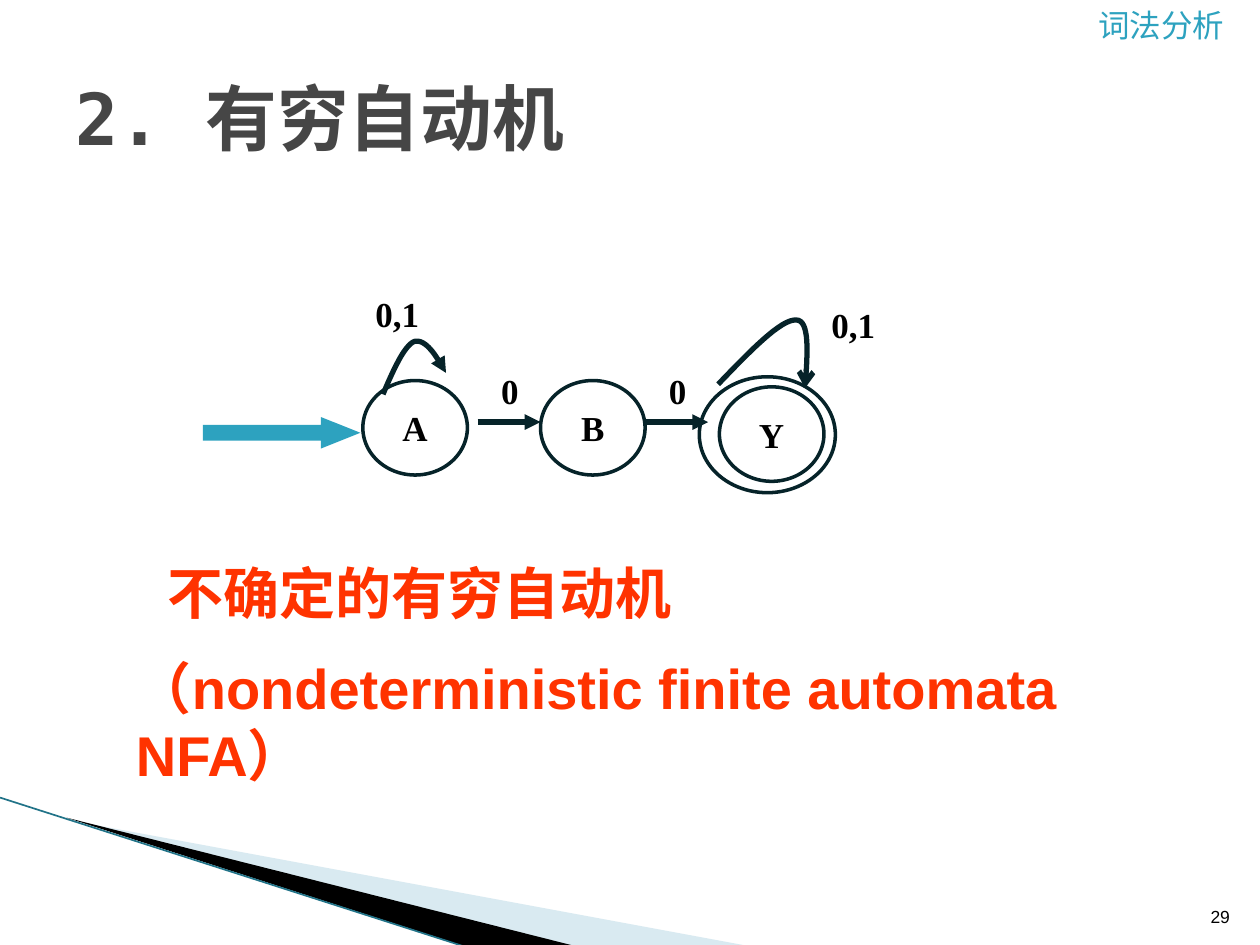
from pptx import Presentation
from pptx import util as u
from pptx.dml.color import RGBColor
from pptx.enum import shapes, text
from pptx.oxml.ns import qn
from lxml import etree

INK = "062329"
SERIF = "Times New Roman"


def rgb(value):
    return RGBColor.from_string(value)


def add_xml(parent, tag, **attrs):
    return etree.SubElement(parent, qn(tag), attrs)


def write(tf, value, size, color, font="Arial", bold=False,
          align=text.PP_ALIGN.LEFT, anchor=text.MSO_ANCHOR.TOP,
          wrap=True, before=0, indent=0):
    tf.word_wrap = wrap
    tf.vertical_anchor = anchor
    for i, line in enumerate(value.split("\n")):
        p = tf.paragraphs[0] if i == 0 else tf.add_paragraph()
        p.alignment = align
        if i:
            p.space_before = u.Pt(before)
        elif indent:
            p._p.get_or_add_pPr().set("indent", str(u.Inches(indent)))
        r = p.add_run()
        r.text = line
        r.font.size = u.Pt(size)
        r.font.bold = bold
        r.font.name = font
        r.font.color.rgb = rgb(color)


def add_text(s, box, value, size, color, **fmt):
    sp = s.shapes.add_textbox(*map(u.Inches, box))
    write(sp.text_frame, value, size, color, **fmt)
    return sp


def style(sp, fill=None, line=None, width=1, alpha=None):
    sp.shadow.inherit = False
    if fill:
        sp.fill.solid()
        sp.fill.fore_color.rgb = rgb(fill)
        if alpha:
            clr = sp._element.spPr.find(qn("a:solidFill"))[0]
            add_xml(clr, "a:alpha", val=str(alpha * 1000))
    else:
        sp.fill.background()
    if line:
        sp.line.color.rgb = rgb(line)
        sp.line.width = u.Pt(width)
    else:
        sp.line.fill.background()


def add_outline(s, points, close, **fmt):
    pts = [(u.Inches(x), u.Inches(y)) for x, y in points]
    fb = s.shapes.build_freeform(*pts[0], scale=1.0)
    fb.add_line_segments(pts[1:], close=close)
    sp = fb.convert_to_shape()
    style(sp, **fmt)
    return sp


def add_line(s, start, end, color, width):
    ln = s.shapes.add_connector(shapes.MSO_CONNECTOR.STRAIGHT,
                                *map(u.Inches, (*start, *end)))
    ln.line.color.rgb = rgb(color)
    ln.line.width = u.Pt(width)
    add_xml(ln._element.spPr, "a:effectLst")
    return ln


def add_arrowhead(sp, kind):
    add_xml(sp.line._get_or_add_ln(), "a:tailEnd", type=kind)


def bezier(p0, p1, p2, p3, steps=16):
    for i in range(steps + 1):
        t = i / steps
        weights = ((1 - t) ** 3, 3 * t * (1 - t) ** 2,
                   3 * t * t * (1 - t), t ** 3)
        yield tuple(sum(w * p[axis] for w, p in zip(weights, (p0, p1, p2, p3)))
                    for axis in (0, 1))


def add_loop(s, first, second, head):
    points = list(bezier(*first)) + list(bezier(first[-1], *second))[1:]
    add_arrowhead(add_outline(s, points, False, line=INK, width=3), head)


def add_state(s, box, label=None):
    sp = s.shapes.add_shape(shapes.MSO_SHAPE.OVAL, *map(u.Inches, box))
    style(sp, fill="FFFFFF" if label else None, line=INK, width=2)
    if label:
        write(sp.text_frame, label, 20, "000000", font=SERIF, bold=True,
              align=text.PP_ALIGN.CENTER, anchor=text.MSO_ANCHOR.MIDDLE,
              wrap=False)


def add_decoration(s):
    add_outline(s, [(0.55, 6.51), (5.95, 7.51), (4.56, 7.51)], True,
                fill="A0CBDC", alpha=40)
    add_outline(s, [(0.53, 6.49), (4.57, 7.51), (3.72, 7.52)], True,
                fill="000000")
    add_line(s, (0, 6.33), (3.71, 7.52), "217388", 0.95)


def add_title(s, box, value):
    sp = s.shapes.title
    sp.left, sp.top, sp.width, sp.height = map(u.Inches, box)
    write(sp.text_frame, value, 41, "464646", font="DejaVu Sans Mono",
          bold=True, anchor=text.MSO_ANCHOR.MIDDLE)


def add_automaton(s, left, top):
    def at(x, y):
        return left + x, top + y

    start = s.shapes.add_shape(shapes.MSO_SHAPE.RIGHT_ARROW,
                               *map(u.Inches, (*at(0, 1.04), 1.25, 0.25)))
    start.adjustments[1] = 1.25
    style(start, fill="2DA2BF")

    for x, y, label in ((1.27, 0.75, "A"), (2.68, 0.75, "B"),
                        (4.1, 0.8, "Y")):
        add_state(s, (*at(x, y), 0.83, 0.75), label)
    add_state(s, (*at(3.94, 0.72), 1.08, 0.92))

    for x in (2.18, 3.51):
        ln = add_line(s, at(x, 1.08), at(x + 0.5, 1.08), INK, 3)
        add_arrowhead(ln, "triangle")

    add_loop(s, [at(1.43, 0.86), at(1.51, 0.67), at(1.6, 0.47), at(1.68, 0.44)],
             [at(1.77, 0.42), at(1.85, 0.55), at(1.93, 0.69)], "triangle")
    add_loop(s, [at(4.09, 0.78), at(4.34, 0.52), at(4.59, 0.26), at(4.71, 0.27)],
             [at(4.82, 0.27), at(4.8, 0.54), at(4.78, 0.81)], "arrow")

    for x, y, width, label in ((1.27, 0, 0.55, "0,1"), (2.27, 0.61, 0.34, "0"),
                               (3.6, 0.61, 0.34, "0"), (4.89, 0.09, 0.55, "0,1")):
        add_text(s, (*at(x, y), width, 0.43), label, 20, "000000",
                 font=SERIF, bold=True, wrap=False)


def main():
    prs = Presentation()
    prs.slide_width, prs.slide_height = u.Inches(10), u.Inches(7.5)
    s = prs.slides.add_slide(prs.slide_layouts[5])
    add_decoration(s)
    add_text(s, (8.62, 0, 1.73, 0.4), "词法分析", 18, "2DA2BF")
    add_title(s, (0.5, 0.3, 9, 1.25), "2. 有穷自动机")
    add_automaton(s, 1.61, 2.27)
    add_text(s, (0.98, 4.38, 8.9, 1.43),
             "不确定的有穷自动机\n（nondeterministic finite automata NFA）",
             32, "FF3300", bold=True, before=16, indent=0.25)
    add_text(s, (9.46, 7.01, 0.4, 0.4), "29", 10, "000000",
             align=text.PP_ALIGN.RIGHT, anchor=text.MSO_ANCHOR.BOTTOM)
    prs.save("out.pptx")


if __name__ == "__main__":
    main()
